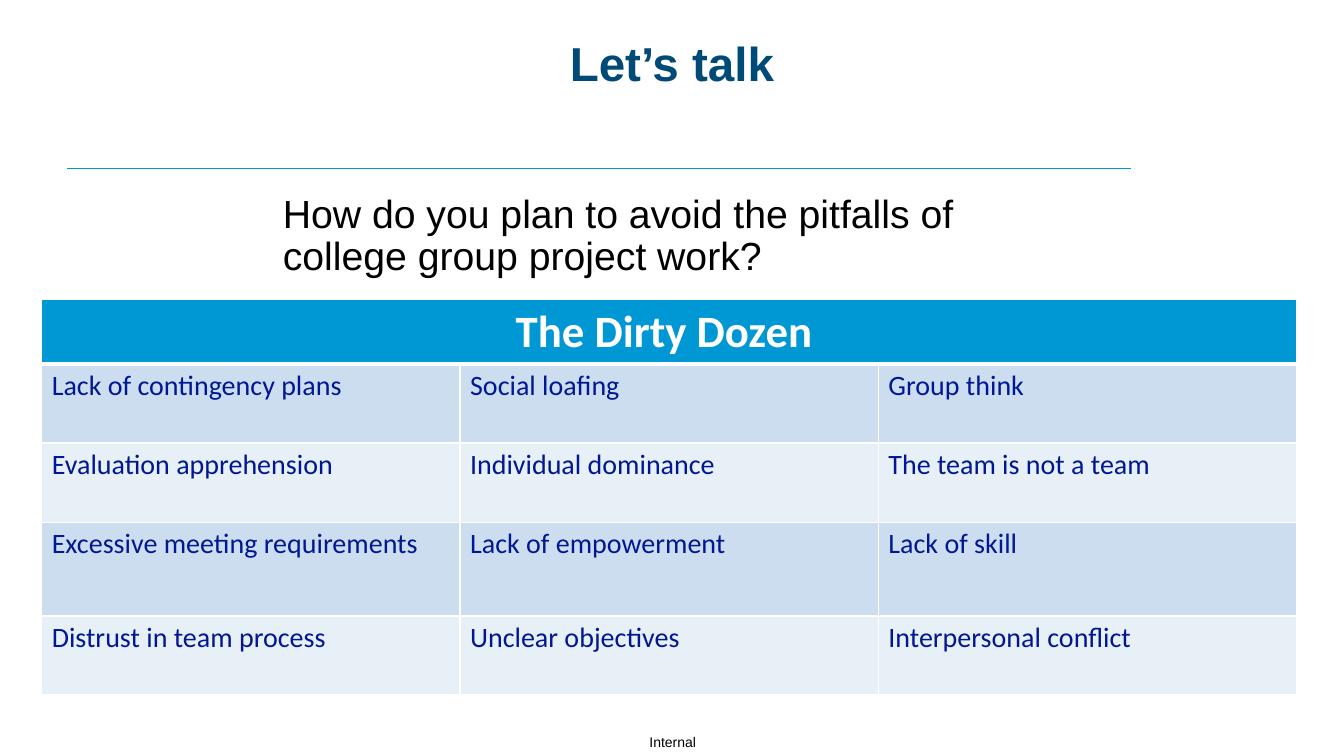
from pptx import Presentation
from pptx.dml.color import RGBColor as RGB
from pptx.enum.shapes import MSO_CONNECTOR as CONN
from pptx.enum.text import MSO_ANCHOR as ANCHOR, PP_ALIGN as ALIGN
from pptx.oxml import parse_xml
from pptx.oxml.ns import nsdecls
from pptx.util import Pt

TITLE = "Let’s talk"
QUESTION = "How do you plan to avoid the pitfalls of college group project work?"
FOOTER = "Internal"
TABLE_TITLE = "The Dirty Dozen "
PITFALLS = [
    ("Lack of contingency plans", "Social loafing", "Group think"),
    ("Evaluation apprehension", "Individual dominance", "The team is not a team"),
    ("Excessive meeting requirements", "Lack of empowerment", "Lack of skill"),
    ("Distrust in team process", "Unclear objectives", "Interpersonal conflict"),
]
ROW_HEIGHTS = [46, 56.5, 56.5, 67, 56.5]
TABLE_LEFT, TABLE_TOP, COLUMN_WIDTH = 29.8, 214, 298.8

THEME = {
    "text_font": "Arial", "table_font": "Calibri",
    "title": "004A78", "text": "000000", "accent": "0098D4",
    "white": "FFFFFF", "cell_text": "011892", "bands": ("CCDDEF", "E7EFF7"),
    "title_size": 34, "question_size": 28, "footer_size": 10,
    "header_size": 32, "cell_size": 20,
}


def style(p, font, size, color, bold=False, align=ALIGN.LEFT):
    p.alignment = align
    for r in p.runs:
        r.font.name, r.font.size, r.font.bold = font, Pt(size), bold
        r.font.color.rgb = RGB.from_string(color)


def add_text(s, text, box, role, color, inset=(0, 0), anchor=ANCHOR.TOP,
             spacing=0.9, bold=False, align=ALIGN.CENTER):
    tf = s.shapes.add_textbox(*map(Pt, box)).text_frame
    tf.word_wrap = True
    tf.vertical_anchor = anchor
    tf.margin_left = tf.margin_right = Pt(inset[0])
    tf.margin_top = tf.margin_bottom = Pt(inset[1])
    tf.text = text
    p = tf.paragraphs[0]
    p.line_spacing = spacing
    style(p, THEME["text_font"], THEME[role + "_size"], THEME[color], bold, align)


def paint_cell(cell, fill, bottom=1):
    tcPr = cell._tc.get_or_add_tcPr()
    for side, width in zip("LRTB", (1, 1, 1, bottom)):
        tcPr.append(parse_xml(
            f'<a:ln{side} {nsdecls("a")} w="{Pt(width)}"><a:solidFill>'
            f'<a:srgbClr val="{THEME["white"]}"/></a:solidFill></a:ln{side}>'))
    cell.fill.solid()
    cell.fill.fore_color.rgb = RGB.from_string(fill)


def add_rule(s):
    line = s.shapes.add_connector(CONN.STRAIGHT, Pt(48), Pt(120.3), Pt(808), Pt(120.3))
    line.line.color.rgb = RGB.from_string(THEME["accent"])
    line.line.width = Pt(0.5)
    line._element.spPr.append(parse_xml(f'<a:effectLst {nsdecls("a")}/>'))


def add_pitfalls(s):
    columns = len(PITFALLS[0])
    table = s.shapes.add_table(
        len(ROW_HEIGHTS), columns, Pt(TABLE_LEFT), Pt(TABLE_TOP),
        Pt(columns * COLUMN_WIDTH), Pt(sum(ROW_HEIGHTS))).table
    for column in table.columns:
        column.width = Pt(COLUMN_WIDTH)
    for row, height in zip(table.rows, ROW_HEIGHTS):
        row.height = Pt(height)

    header = table.cell(0, 0)
    header.merge(table.cell(0, columns - 1))
    header.text = TABLE_TITLE
    style(header.text_frame.paragraphs[0], THEME["table_font"],
          THEME["header_size"], THEME["white"], True, ALIGN.CENTER)
    for cell in table.rows[0].cells:
        paint_cell(cell, THEME["accent"], bottom=3)

    for i, names in enumerate(PITFALLS):
        for j, name in enumerate(names):
            cell = table.cell(i + 1, j)
            cell.text = name
            style(cell.text_frame.paragraphs[0], THEME["table_font"],
                  THEME["cell_size"], THEME["cell_text"])
            paint_cell(cell, THEME["bands"][i % 2])


def main():
    prs = Presentation()
    prs.slide_width, prs.slide_height = Pt(960), Pt(540)
    s = prs.slides.add_slide(prs.slide_layouts[6])
    add_text(s, FOOTER, (453, 520.5, 55, 19.5), "footer", "text",
             anchor=ANCHOR.MIDDLE, spacing=1.0)
    add_rule(s)
    add_text(s, TITLE, (66, 28.8, 828, 53.3), "title", "title", bold=True)
    add_text(s, QUESTION, (195, 135.4, 570, 64.8), "question", "text",
             inset=(7.2, 3.6), align=ALIGN.LEFT)
    add_pitfalls(s)
    prs.save("out.pptx")


if __name__ == "__main__":
    main()
